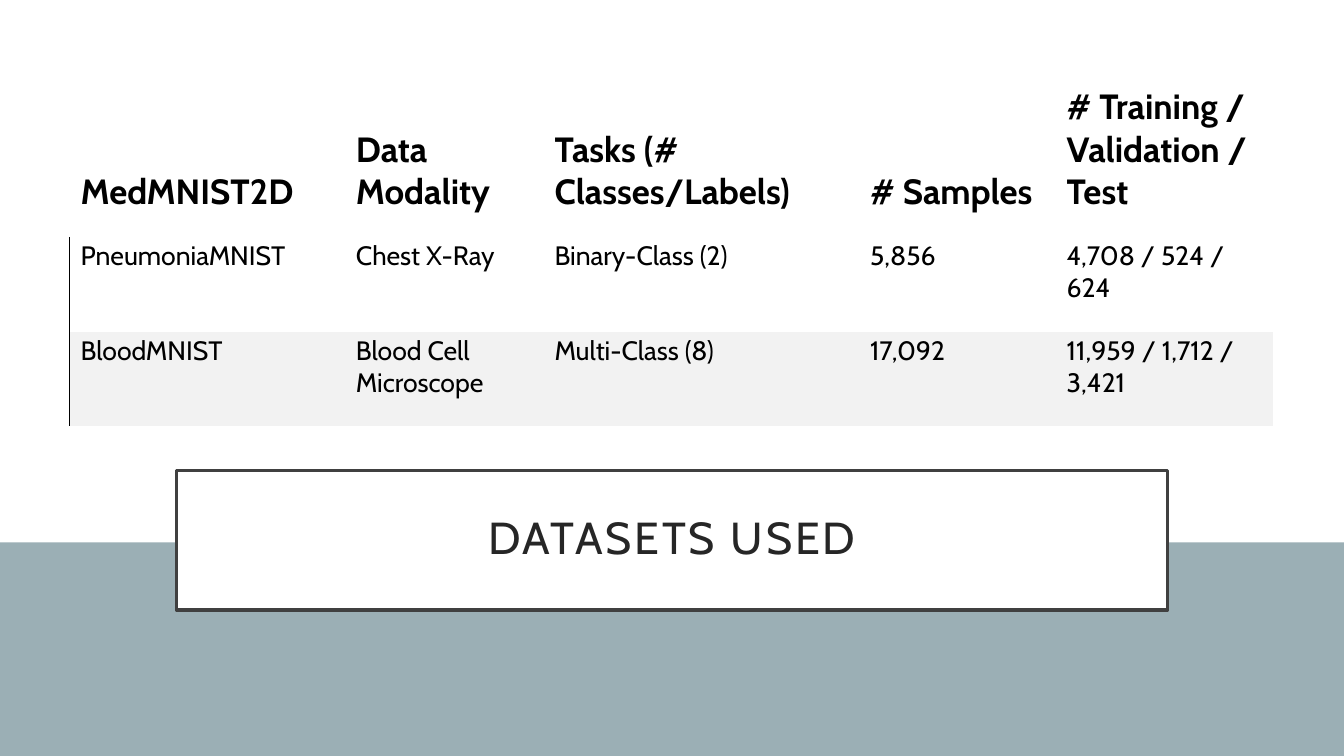
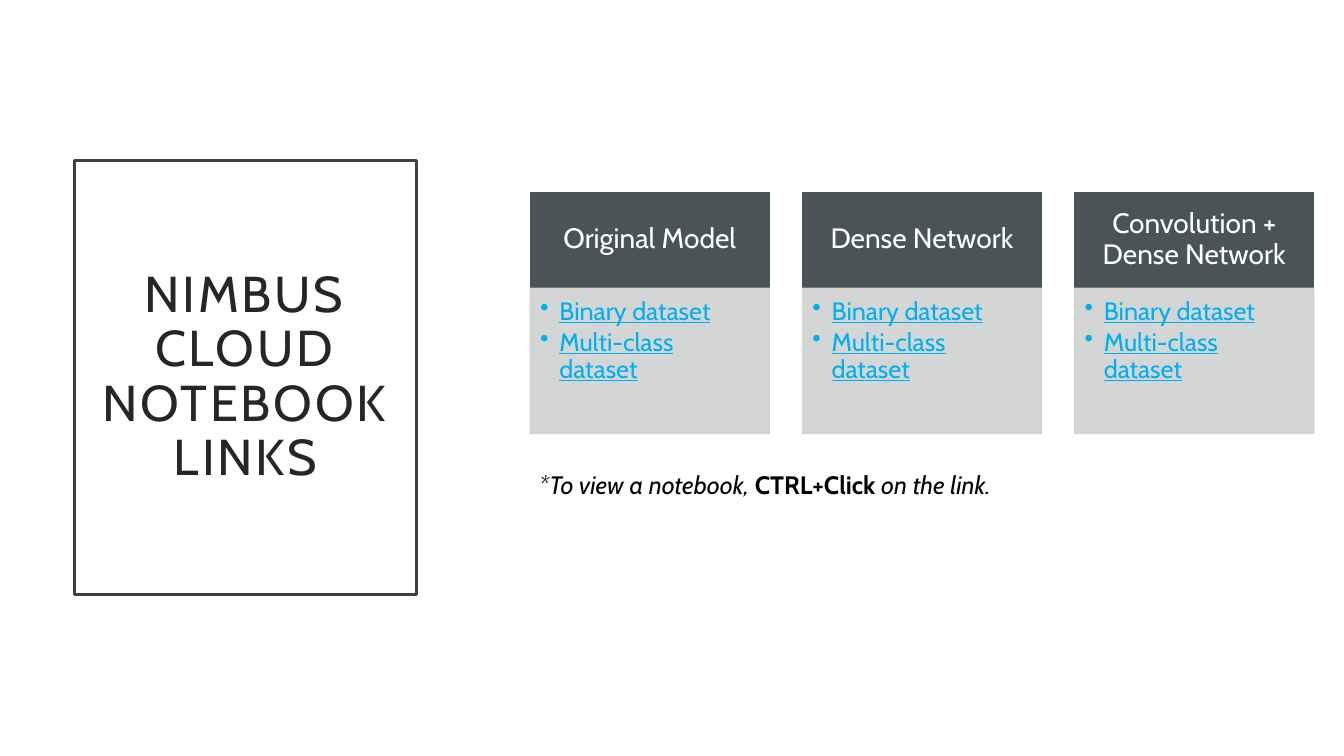
from dataclasses import dataclass

from lxml import etree
from pptx import Presentation
from pptx.dml.color import RGBColor
from pptx.enum.shapes import MSO_SHAPE as Shape
from pptx.enum.text import MSO_ANCHOR as Anchor, MSO_AUTO_SIZE as AutoSize, PP_ALIGN as Align
from pptx.oxml.ns import qn
from pptx.util import Pt

PX = 9144  # 100 px to the inch
TITLE_ONLY = 5
NO_TABLE_STYLE = "{2D5ABB26-0587-4C30-8999-92F81FD0307C}"


@dataclass(frozen=True)
class Theme:
    font: str = "Cabin"
    white: str = "FFFFFF"
    black: str = "000000"
    title_text: str = "262626"
    title_frame: str = "404040"
    band: str = "9BAFB5"
    table_stripe: str = "F2F2F2"
    card_head: str = "4A5356"
    card_body: str = "D0D1D1"
    link: str = "00B0F0"
    wide_title_size: int = 32
    tall_title_size: int = 36
    table_head_size: int = 25
    table_body_size: int = 19
    card_head_size: int = 20
    text_size: int = 18


THEME = Theme()

# Slide content
DATASET_COLUMNS = [273, 197, 313, 195, 216]
DATASET_ROWS = [156, 94, 94]
DATASETS = [
    ["MedMNIST2D", "Data Modality", "Tasks (# Classes/Labels)", "# Samples",
     "# Training / Validation / Test"],
    ["PneumoniaMNIST", "Chest X-Ray", "Binary-Class (2)", "5,856", "4,708 / 524 / 624"],
    ["BloodMNIST", "Blood Cell Microscope", "Multi-Class (8)", "17,092",
     "11,959 / 1,712 / 3,421"],
]
MODELS = ["Original Model", "Dense Network", "Convolution + Dense Network"]
NOTEBOOKS = ["Binary dataset", "Multi-class dataset"]


# Helpers
def px(*lengths):
    return [length * PX for length in lengths]


def rgb(color):
    return RGBColor.from_string(color)


def set_fill(target, color):
    target.fill.solid()
    target.fill.fore_color.rgb = rgb(color)


def set_line(shape, color, width):
    shape.line.color.rgb = rgb(color)
    shape.line.width = Pt(width)


def set_opacity(shape, percent):
    """Apply one opacity to the fill and the line of a shape."""
    for color in shape.element.spPr.iter(qn("a:srgbClr")):
        etree.SubElement(color, qn("a:alpha"), val=str(percent * 1000))


def set_insets(frame, left, top, right, bottom):
    (frame.margin_left, frame.margin_top,
     frame.margin_right, frame.margin_bottom) = px(left, top, right, bottom)


def style_paragraph(paragraph, size, color, bold=False):
    font = paragraph.font
    font.name, font.size, font.bold = THEME.font, Pt(size), bold
    font.color.rgb = rgb(color)


def add_bullet(paragraph, indent):
    properties = paragraph._p.get_or_add_pPr()
    properties.set("marL", str(indent * PX))
    properties.set("indent", str(-indent * PX))
    etree.SubElement(properties, qn("a:buChar"), char="•")


def add_rectangle(slide, box, color):
    shape = slide.shapes.add_shape(Shape.RECTANGLE, *px(*box))
    shape.shadow.inherit = False
    set_fill(shape, color)
    shape.line.fill.background()
    return shape


def add_title_slide(presentation, text, box, size, insets=(10, 5, 10, 5)):
    """Add a slide whose title sits in a framed white box."""
    slide = presentation.slides.add_slide(presentation.slide_layouts[TITLE_ONLY])
    title = slide.shapes.title
    title.left, title.top, title.width, title.height = px(*box)
    set_fill(title, THEME.white)
    set_line(title, THEME.title_frame, 2.5)
    frame = title.text_frame
    frame.word_wrap = True
    frame.auto_size = AutoSize.NONE
    frame.vertical_anchor = Anchor.MIDDLE
    set_insets(frame, *insets)
    paragraph = frame.paragraphs[0]
    paragraph.alignment = Align.CENTER
    paragraph.line_spacing = 0.9
    run = paragraph.add_run()
    run.text = text
    run._r.get_or_add_rPr().set("spc", "200")
    style_paragraph(paragraph, size, THEME.title_text)
    return slide


def add_left_border(cell, color, width):
    line = etree.Element(qn("a:lnL"), w=str(Pt(width)))
    fill = etree.SubElement(line, qn("a:solidFill"))
    etree.SubElement(fill, qn("a:srgbClr"), val=color)
    cell._tc.get_or_add_tcPr().insert(0, line)


def fill_cell(cell, text, row):
    is_head = row == 0
    set_insets(cell, 11, 3, 22, 23)
    cell.vertical_anchor = Anchor.BOTTOM if is_head else Anchor.TOP
    cell.text = text
    size = THEME.table_head_size if is_head else THEME.table_body_size
    style_paragraph(cell.text_frame.paragraphs[0], size, THEME.black, bold=is_head)
    if row and row % 2 == 0:
        set_fill(cell, THEME.table_stripe)
    else:
        cell.fill.background()


def add_dataset_table(slide, left, top):
    box = px(left, top, sum(DATASET_COLUMNS), sum(DATASET_ROWS))
    table = slide.shapes.add_table(len(DATASETS), len(DATASET_COLUMNS), *box).table
    table.first_row = table.horz_banding = False
    table._tbl.tblPr.find(qn("a:tableStyleId")).text = NO_TABLE_STYLE
    for column, width in zip(table.columns, px(*DATASET_COLUMNS)):
        column.width = width
    for row, height in zip(table.rows, px(*DATASET_ROWS)):
        row.height = height
    for row, texts in enumerate(DATASETS):
        for column, text in enumerate(texts):
            fill_cell(table.cell(row, column), text, row)
        if row:
            add_left_border(table.cell(row, 0), THEME.black, 0.75)


def add_card_part(slide, box, color, texts, insets):
    """Add one filled box of a card and return it with its paragraphs."""
    shape = add_rectangle(slide, box, color)
    set_line(shape, color, 1)
    frame = shape.text_frame
    frame.word_wrap = True
    set_insets(frame, *insets)
    frame.text = "\n".join(texts)
    for paragraph in frame.paragraphs:
        paragraph.line_spacing = 0.9
    return shape, frame.paragraphs


def add_model_card(slide, left, model):
    # Heading
    head, paragraphs = add_card_part(slide, (left, 191, 237, 94), THEME.card_head,
                                     [model], (16, 9, 16, 9))
    head.text_frame.vertical_anchor = Anchor.MIDDLE
    paragraphs[0].alignment = Align.CENTER
    style_paragraph(paragraphs[0], THEME.card_head_size, THEME.white)

    # Notebook list
    body, paragraphs = add_card_part(slide, (left, 286, 237, 144), THEME.card_body,
                                     NOTEBOOKS, (10, 10, 14, 16))
    set_opacity(body, 90)
    body.text_frame.vertical_anchor = Anchor.TOP
    for paragraph in paragraphs:
        paragraph.alignment = Align.LEFT
        paragraph.space_after = Pt(2.7)
        add_bullet(paragraph, 19)
        style_paragraph(paragraph, THEME.text_size, THEME.link)
        paragraph.font.underline = True


def add_footnote(slide, box, parts):
    """Add a line of italic text in which the marked parts are bold."""
    frame = slide.shapes.add_textbox(*px(*box)).text_frame
    frame.word_wrap = True
    frame.auto_size = AutoSize.SHAPE_TO_FIT_TEXT
    paragraph = frame.paragraphs[0]
    style_paragraph(paragraph, THEME.text_size, THEME.black)
    for text, is_key in parts:
        run = paragraph.add_run()
        run.text = text
        run.font.bold, run.font.italic = is_key, not is_key


# Slides
def build_datasets_slide(presentation):
    slide = add_title_slide(presentation, "DATASETS USED", (175, 467, 983, 138),
                            THEME.wide_title_size, (30, 20, 30, 20))
    band = add_rectangle(slide, (0, 538, 1333, 212), THEME.band)
    slide.shapes.title.element.addprevious(band.element)
    add_dataset_table(slide, 69, 79)


def build_notebooks_slide(presentation):
    slide = add_title_slide(presentation, "NIMBUS CLOUD NOTEBOOK LINKS",
                            (74, 159, 339, 431), THEME.tall_title_size)
    for index, model in enumerate(MODELS):
        add_model_card(slide, 526 + 270 * index, model)
    add_footnote(slide, (525, 461, 777, 40), [
        ("*To view a notebook, ", False),
        ("CTRL+Click", True),
        (" on the link.", False),
    ])


def main():
    presentation = Presentation()
    presentation.slide_width, presentation.slide_height = px(1333, 750)
    build_datasets_slide(presentation)
    build_notebooks_slide(presentation)
    presentation.save("out.pptx")


if __name__ == "__main__":
    main()
